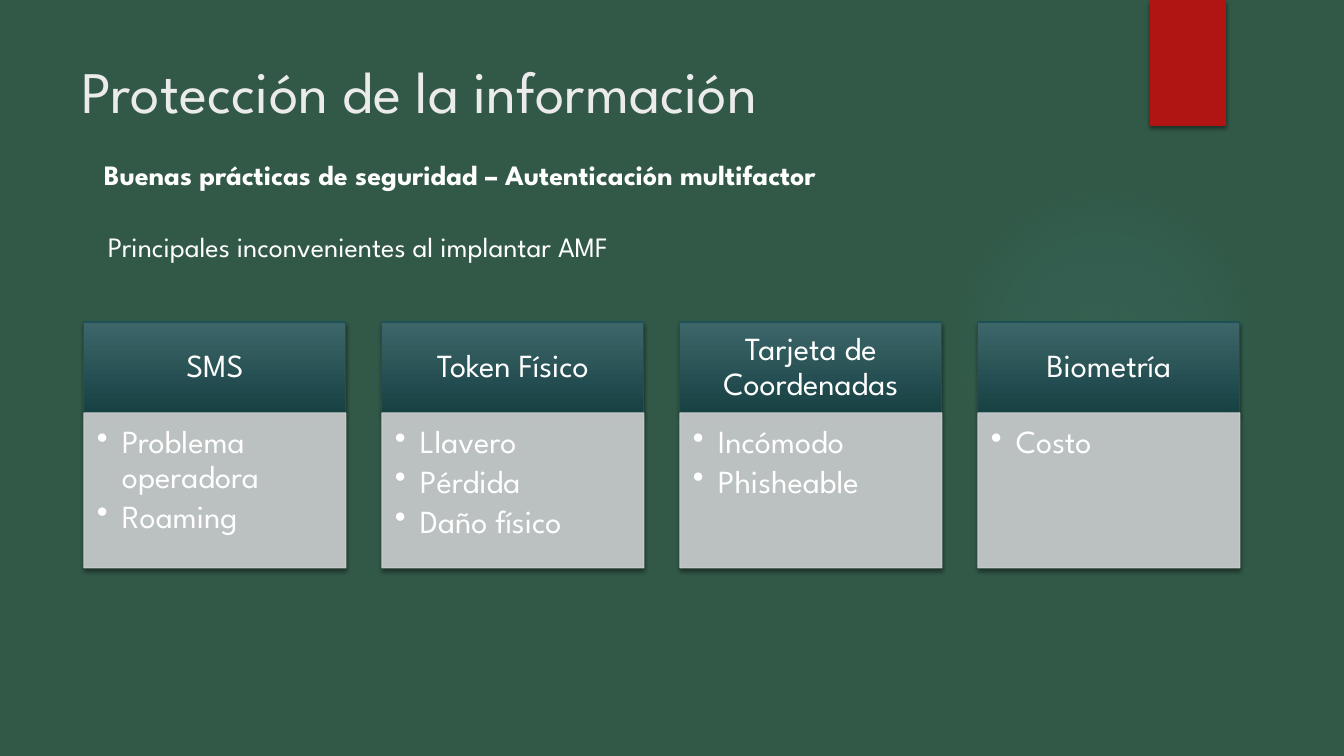
from lxml import etree
from pptx import Presentation
from pptx.dml.color import RGBColor
from pptx.enum.shapes import MSO_SHAPE
from pptx.enum.text import MSO_ANCHOR, MSO_AUTO_SIZE, PP_ALIGN
from pptx.oxml import parse_xml
from pptx.oxml.ns import nsdecls, qn
from pptx.util import Pt

RECT, OVAL = MSO_SHAPE.RECTANGLE, MSO_SHAPE.OVAL
TOP, MIDDLE = MSO_ANCHOR.TOP, MSO_ANCHOR.MIDDLE
LEFT, CENTER, JUSTIFY = PP_ALIGN.LEFT, PP_ALIGN.CENTER, PP_ALIGN.JUSTIFY
NO_FIT = MSO_AUTO_SIZE.NONE

# Content
TITLE = "Protección de la información"
SUBTITLES = [  # text, box in px, bold
    ("Buenas prácticas de seguridad – Autenticación multifactor", (94, 136, 1041, 61), True),
    ("Principales inconvenientes al implantar AMF", (98, 208, 1084, 61), False),
]
CARDS = [
    ("SMS", ["Problema operadora", "Roaming"]),
    ("Token Físico", ["Llavero", "Pérdida", "Daño físico"]),
    ("Tarjeta de Coordenadas", ["Incómodo", "Phisheable"]),
    ("Biometría", ["Costo"]),
]

# Style
FONT = "League Spartan"
GREEN = RGBColor(0x32, 0x59, 0x48)
RED = RGBColor(0xB0, 0x15, 0x13)
TEAL_LIGHT = RGBColor(0x3D, 0x66, 0x6A)
TEAL_DARK = RGBColor(0x18, 0x41, 0x44)
TEAL_LINE = RGBColor(0x1E, 0x51, 0x55)
GLOW = RGBColor(0x50, 0xB9, 0xC1)
GREY = RGBColor(0xCD, 0xD0, 0xD1)
WHITE = RGBColor(0xFF, 0xFF, 0xFF)
OFF_WHITE = RGBColor(0xEB, 0xEB, 0xEB)
GLOW_STOPS = [(0, 7), (36, 6), (69, 0)]  # position %, opacity %

# Layout in px
PX = 914400 / 100.8
CARD_LEFT, CARD_TOP, CARD_W, CARD_PITCH = 84, 322, 262, 298
HEAD_H, BODY_H = 91, 155
BULLET_INDENT = 25


def emu(px):
    return round(px * PX)


def add_box(shapes, kind, box):
    s = shapes.add_shape(kind, *map(emu, box))
    s.shadow.inherit = False
    s.line.fill.background()
    return s


def add_shadow(s):
    effects = s._element.spPr.find(qn("a:effectLst"))
    effects.append(parse_xml(
        f'<a:outerShdw {nsdecls("a")} blurRad="38100" dist="25400" dir="5400000" rotWithShape="0">'
        '<a:srgbClr val="000000"><a:alpha val="45000"/></a:srgbClr></a:outerShdw>'))


def set_line(s, color):
    s.line.color.rgb = color
    s.line.width = Pt(0.75)


def set_opacity(element, percent):
    """Make every plain colour inside the element partly transparent."""
    for color in element.iter(qn("a:srgbClr")):
        etree.SubElement(color, qn("a:alpha"), val=str(percent * 1000))


def set_frame(tf, margins, anchor):
    tf.word_wrap = True
    tf.auto_size = NO_FIT
    tf.vertical_anchor = anchor
    tf.margin_left, tf.margin_top, tf.margin_right, tf.margin_bottom = map(emu, margins)


def format_paragraph(p, size, color, align, spacing=None, bold=False):
    p.alignment = align
    p.line_spacing = spacing
    p.font.name = FONT
    p.font.size = Pt(size)
    p.font.bold = bold
    p.font.color.rgb = color


def add_bullet(p):
    pPr = p._p.get_or_add_pPr()
    pPr.set("marL", str(emu(BULLET_INDENT)))
    pPr.set("indent", str(-emu(BULLET_INDENT)))
    bullet = parse_xml(f'<a:buChar {nsdecls("a")} char="•"/>')
    pPr.find(qn("a:defRPr")).addprevious(bullet)


def add_glow(shapes):
    s = add_box(shapes, OVAL, (949, 184, 310, 310))
    stops = "".join(
        f'<a:gs pos="{pos * 1000}"><a:srgbClr val="{GLOW}"><a:alpha val="{alpha * 1000}"/>'
        '</a:srgbClr></a:gs>' for pos, alpha in GLOW_STOPS)
    s._element.spPr.find(qn("a:prstGeom")).addnext(parse_xml(
        f'<a:gradFill {nsdecls("a")} rotWithShape="1"><a:gsLst>{stops}</a:gsLst>'
        '<a:path path="circle"><a:fillToRect l="50000" t="50000" r="50000" b="50000"/></a:path>'
        '</a:gradFill>'))


def add_ribbon(shapes):
    s = add_box(shapes, RECT, (1150, 0, 76, 126))
    s.fill.solid()
    s.fill.fore_color.rgb = RED
    add_shadow(s)


def add_head(shapes, left, text):
    s = add_box(shapes, RECT, (left, CARD_TOP, CARD_W, HEAD_H))
    s.fill.gradient()
    s.fill.gradient_angle = 270
    for stop, color in zip(s.fill.gradient_stops, (TEAL_LIGHT, TEAL_DARK)):
        stop.color.rgb = color
    set_line(s, TEAL_LINE)
    add_shadow(s)
    set_frame(s.text_frame, (18, 10, 18, 10), MIDDLE)
    p = s.text_frame.paragraphs[0]
    p.text = text
    format_paragraph(p, 23, WHITE, CENTER, 0.9)


def add_body(shapes, left, items):
    s = add_box(shapes, RECT, (left, CARD_TOP + HEAD_H, CARD_W, BODY_H))
    s.fill.solid()
    s.fill.fore_color.rgb = GREY
    set_line(s, GREY)
    set_opacity(s._element.spPr, 90)
    add_shadow(s)
    tf = s.text_frame
    set_frame(tf, (13, 13, 18, 20), TOP)
    tf.text = "\n".join(items)
    for p in tf.paragraphs:
        format_paragraph(p, 23, WHITE, LEFT, 0.9)
        p.space_after = Pt(3.5)
        add_bullet(p)


def main():
    prs = Presentation()
    prs.slide_width, prs.slide_height = emu(1344), emu(756)
    slide = prs.slides.add_slide(prs.slide_layouts[5])
    slide.background.fill.solid()
    slide.background.fill.fore_color.rgb = GREEN
    shapes = slide.shapes

    add_glow(shapes)
    add_ribbon(shapes)
    for i, (head, items) in enumerate(CARDS):
        left = CARD_LEFT + i * CARD_PITCH
        add_head(shapes, left, head)
        add_body(shapes, left, items)

    title = shapes.title
    title.left, title.top, title.width, title.height = map(emu, (72, 50, 1037, 154))
    title.text = TITLE
    set_frame(title.text_frame, (10, 5, 10, 5), TOP)
    format_paragraph(title.text_frame.paragraphs[0], 42, OFF_WHITE, LEFT)

    for text, box, bold in SUBTITLES:
        tf = shapes.add_textbox(*map(emu, box)).text_frame
        set_frame(tf, (10, 5, 10, 5), TOP)
        p = tf.paragraphs[0]
        p.text = text
        format_paragraph(p, 20, WHITE, JUSTIFY, 1.5, bold)

    prs.save("out.pptx")


if __name__ == "__main__":
    main()
